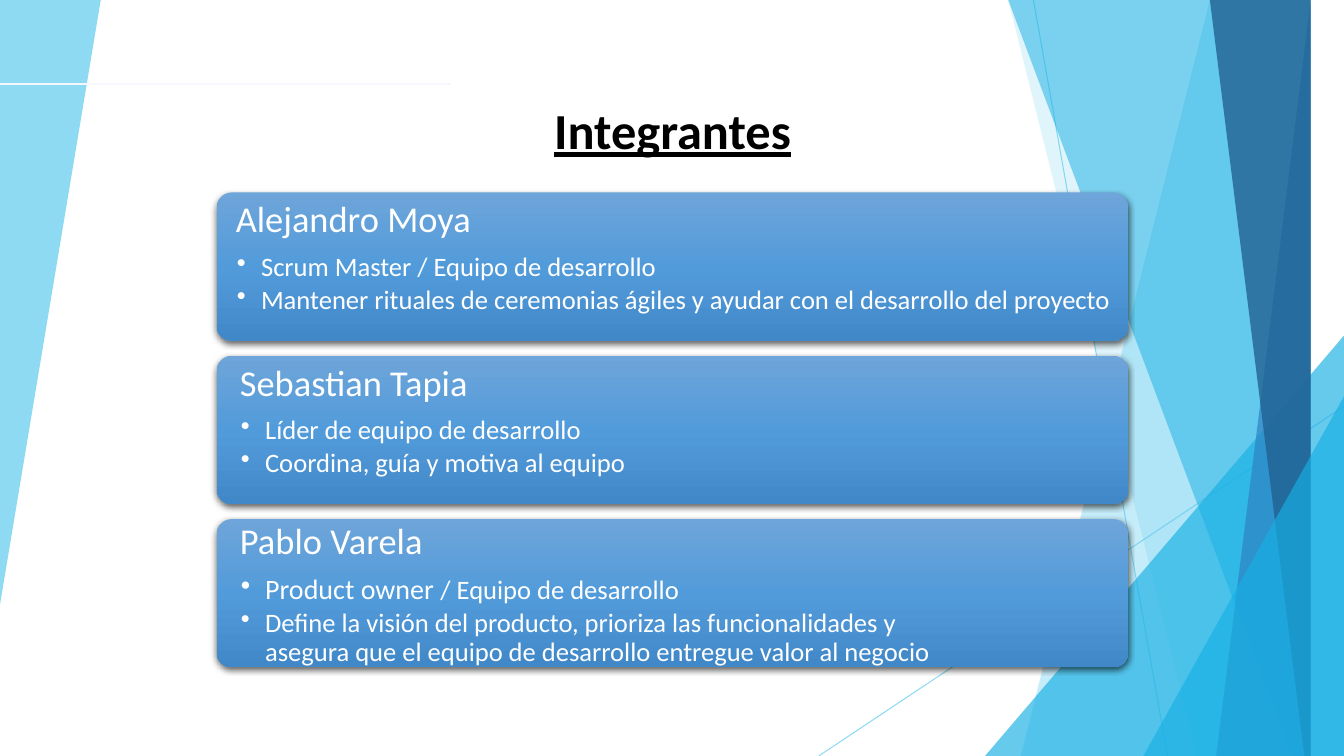
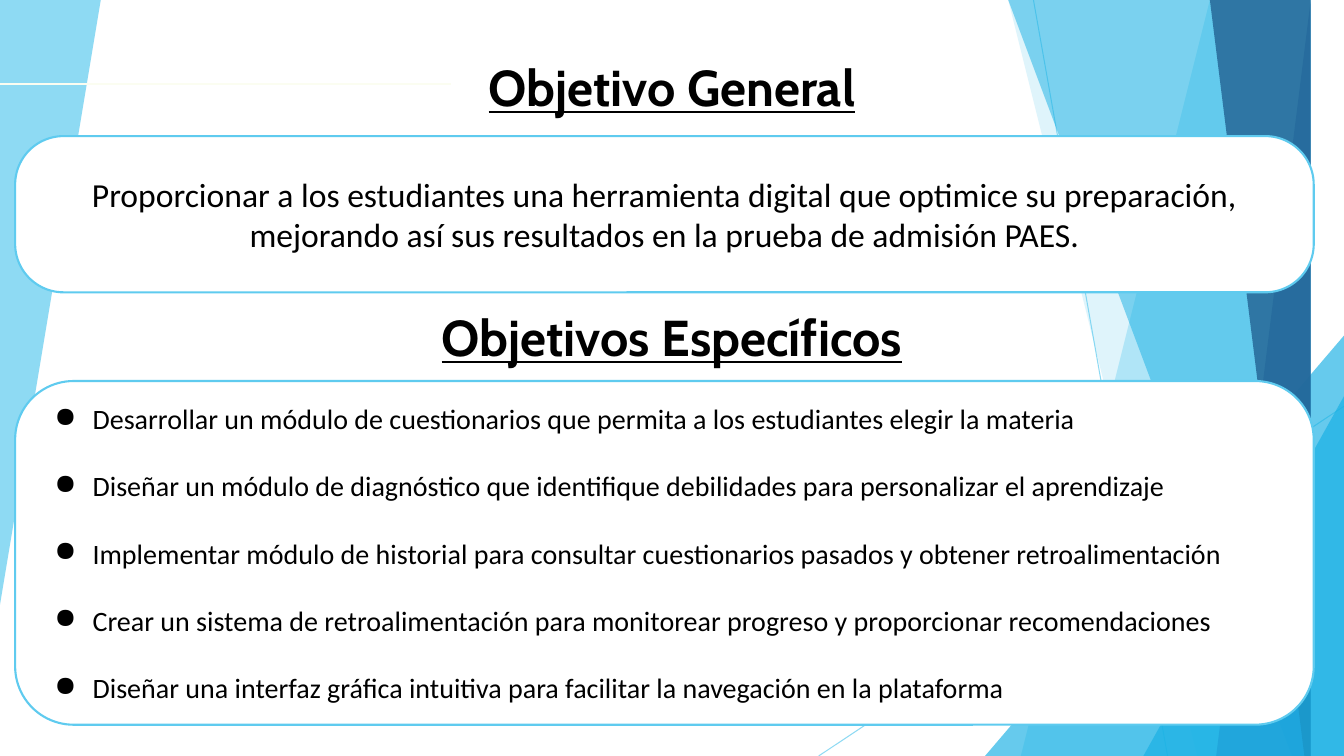
from lxml.etree import SubElement
from pptx import Presentation
from pptx.dml.color import RGBColor
from pptx.enum.shapes import MSO_CONNECTOR, MSO_SHAPE as Preset
from pptx.enum.text import MSO_ANCHOR as Anchor, PP_ALIGN as Align
from pptx.oxml.ns import qn
from pptx.util import Inches, Pt

WIDTH, HEIGHT = 13.33, 7.5
COLORS = {
    "white": "FFFFFF", "black": "000000", "sky": "5FCBEF", "cyan": "17B0E4",
    "blue": "2E83C3", "navy": "226292", "rule_cool": "F5F7FC", "rule_warm": "FBFDF1",
}
CARD_GRADIENT = [(0, "6EA5DA"), (50, "529BDA"), (100, "4188C8")]
BODY_FONT, HEADING_FONT = "Calibri", "Cabin"

LEFT_BAND = ([(0, 0), (0.94, 0), (0, 6.22)], "sky", 70)
RAYS = [((10.25, 0), (11.58, HEIGHT)), ((WIDTH, 4.03), (8.12, HEIGHT))]
RIGHT_BANDS = [
    ("band", 12.28, 10.04, "sky", 36),
    ("band", 10.5, 11.83, "sky", 20),
    ("triangle", 9.77, 3.33, "cyan", 66),
    ("band", 10.21, 12.91, "cyan", 50),
    ("band", 13.03, 11.92, "blue", 70),
    ("band", 11.96, 13.18, "navy", 80),
    ("triangle", 11.34, 3.93, "cyan", 66),
]

MEMBERS = [
    {"name": "Alejandro Moya", "offset": (0.08, -0.02), "width": 9.04, "roles": [
        [("Scrum Master / Equipo de desarrollo", 19)],
        [("Mantener rituales de ceremonias ágiles y ayudar con el desarrollo del proyecto", 19)]]},
    {"name": "Sebastian Tapia", "offset": (0.12, -0.02), "width": 7.07, "roles": [
        [("Líder de equipo de desarrollo", 19)],
        [("Coordina, guía y motiva al equipo", 19)]]},
    {"name": "Pablo Varela", "offset": (0.12, -0.07), "width": 7.45, "roles": [
        [("Product owner ", 20), ("/ Equipo de desarrollo", 19)],
        [("Define la visión del producto, prioriza las funcionalidades y asegura que "
          "el equipo de desarrollo entregue valor al negocio", 19)]]},
]
GENERAL_GOAL = ("Proporcionar a los estudiantes una herramienta digital que optimice su "
                "preparación, mejorando así sus resultados en la prueba de admisión PAES.")
SPECIFIC_GOALS = [
    "Desarrollar un módulo de cuestionarios que permita a los estudiantes elegir la materia",
    "Diseñar un módulo de diagnóstico que identifique debilidades para personalizar el aprendizaje",
    "Implementar módulo de historial para consultar cuestionarios pasados y obtener retroalimentación",
    "Crear un sistema de retroalimentación para monitorear progreso y proporcionar recomendaciones",
    "Diseñar una interfaz gráfica intuitiva para facilitar la navegación en la plataforma",
]


def rgb(name):
    return RGBColor.from_string(COLORS[name])


def set_alpha(element, percent):
    color = element.find(".//" + qn("a:srgbClr"))
    SubElement(color, qn("a:alpha"), val=str(percent * 1000))


def paint(shape, color, alpha=None):
    shape.shadow.inherit = False
    shape.fill.solid()
    shape.fill.fore_color.rgb = rgb(color)
    shape.line.fill.background()
    if alpha:
        set_alpha(shape._element.spPr, alpha)


def add_polygon(slide, points, color, alpha):
    builder = slide.shapes.build_freeform(*points[0], scale=Inches(1))
    builder.add_line_segments(points[1:], close=True)
    paint(builder.convert_to_shape(), color, alpha)


def add_shape(slide, preset, box, adjustment):
    shape = slide.shapes.add_shape(preset, *map(Inches, box))
    shape.adjustments[0] = adjustment
    return shape


def add_line(slide, start, end, color, width, alpha=None):
    line = slide.shapes.add_connector(MSO_CONNECTOR.STRAIGHT, *map(Inches, start + end))
    line.line.color.rgb = rgb(color)
    line.line.width = Pt(width)
    properties = line._element.spPr
    SubElement(properties, qn("a:effectLst"))
    if alpha:
        set_alpha(properties, alpha)


def add_background(slide):
    add_polygon(slide, *LEFT_BAND)
    for start, end in RAYS:
        add_line(slide, start, end, "sky", 0.75, 70)
    for kind, first, second, color, alpha in RIGHT_BANDS:
        if kind == "band":
            points = [(first, 0), (WIDTH, 0), (WIDTH, HEIGHT), (second, HEIGHT)]
            add_polygon(slide, points, color, alpha)
        else:
            box = (first, second, WIDTH - first, HEIGHT - second)
            paint(add_shape(slide, Preset.ISOSCELES_TRIANGLE, box, 1), color, alpha)


def set_insets(frame, horizontal, vertical):
    frame.word_wrap = True
    frame.margin_left = frame.margin_right = Inches(horizontal)
    frame.margin_top = frame.margin_bottom = Inches(vertical)


def add_runs(paragraph, runs, color, font=BODY_FONT):
    for text, size in runs:
        run = paragraph.add_run()
        run.text = text
        run.font.size = Pt(size)
        run.font.name = font
        run.font.color.rgb = rgb(color)


def add_bullet(paragraph, character, color, margin, indent):
    properties = paragraph._p.get_or_add_pPr()
    properties.set("marL", str(Inches(margin)))
    properties.set("indent", str(Inches(indent)))
    bullet_color = SubElement(properties, qn("a:buClr"))
    SubElement(bullet_color, qn("a:srgbClr"), val=COLORS[color])
    SubElement(properties, qn("a:buChar"), char=character)


def add_title(slide, text, box, font):
    frame = slide.shapes.add_textbox(*map(Inches, box)).text_frame
    set_insets(frame, 0.1, 0.05)
    paragraph = frame.paragraphs[0]
    paragraph.alignment = Align.CENTER
    add_runs(paragraph, [(text, 36)], "black", font)
    paragraph.runs[0].font.bold = paragraph.runs[0].font.underline = True


def add_card(slide, box):
    card = add_shape(slide, Preset.ROUNDED_RECTANGLE, box, 0.1)
    card.shadow.inherit = False
    card.line.fill.background()
    card.fill.gradient()
    card.fill.gradient_angle = 270
    properties = card._element.spPr
    stops = properties.find(".//" + qn("a:gsLst"))
    stops.clear()
    for position, color in CARD_GRADIENT:
        stop = SubElement(stops, qn("a:gs"), pos=str(position * 1000))
        SubElement(stop, qn("a:srgbClr"), val=color)
    shadow = SubElement(properties.find(qn("a:effectLst")), qn("a:outerShdw"),
                        blurRad=str(Pt(4.5)), dist=str(Pt(1.5)), dir="5400000", rotWithShape="0")
    SubElement(shadow, qn("a:srgbClr"), val=COLORS["black"])
    set_alpha(shadow, 62)


def add_member(slide, member, left, top, width, height):
    add_card(slide, (left, top, width, height))
    shift_x, shift_y = member["offset"]
    box = (left + shift_x, top + shift_y, member["width"], height)
    frame = slide.shapes.add_textbox(*map(Inches, box)).text_frame
    set_insets(frame, 0.11, 0.11)
    add_runs(frame.paragraphs[0], [(member["name"], 26)], "white")
    for runs, space in zip(member["roles"], (9.1, 3)):
        paragraph = frame.add_paragraph()
        paragraph.space_before = Pt(space)
        add_runs(paragraph, runs, "white")
        add_bullet(paragraph, "•", "white", 0.25, -0.24)
    for paragraph in frame.paragraphs:
        paragraph.line_spacing = 0.9


def add_panel(slide, top, height, adjustment):
    box = (0.15, top, 12.88, height)
    panel = add_shape(slide, Preset.ROUNDED_RECTANGLE, box, adjustment)
    paint(panel, "white")
    panel.line.color.rgb = rgb("sky")
    panel.line.width = Pt(1.5)
    set_insets(panel.text_frame, 0.1, 0.05)
    panel.text_frame.vertical_anchor = Anchor.MIDDLE
    return panel.text_frame


def build_members(slide):
    card_height, pitch = 1.47, 1.62
    for index, member in enumerate(MEMBERS):
        add_member(slide, member, 2.15, 1.91 + index * pitch, 9.04, card_height)
    add_title(slide, "Integrantes", (5.11, 0.93, 3.12, 0.71), BODY_FONT)
    add_line(slide, (0, 0.83), (4.47, 0.83), "rule_cool", 1.25)


def build_goals(slide):
    add_line(slide, (0, 0.83), (4.47, 0.83), "rule_warm", 1.25)
    for text, top in (("Objetivo General", 0.51), ("Objetivos Específicos", 2.99)):
        add_title(slide, text, (0, top, WIDTH, 0.71), HEADING_FONT)
    paragraph = add_panel(slide, 1.35, 1.55, 0.31).paragraphs[0]
    paragraph.alignment = Align.CENTER
    add_runs(paragraph, [(GENERAL_GOAL, 24)], "black")
    frame = add_panel(slide, 3.78, 3.41, 0.17)
    for index, goal in enumerate(SPECIFIC_GOALS):
        paragraph = frame.add_paragraph() if index else frame.paragraphs[0]
        paragraph.alignment = Align.LEFT
        paragraph.space_before = Pt(24 if index else 0)
        add_runs(paragraph, [(goal, 20)], "black")
        add_bullet(paragraph, "●", "black", 0.5, -0.38)


def main():
    presentation = Presentation()
    presentation.slide_width, presentation.slide_height = Inches(WIDTH), Inches(HEIGHT)
    for build in (build_members, build_goals):
        slide = presentation.slides.add_slide(presentation.slide_layouts[6])
        add_background(slide)
        build(slide)
    presentation.save("out.pptx")


if __name__ == "__main__":
    main()
